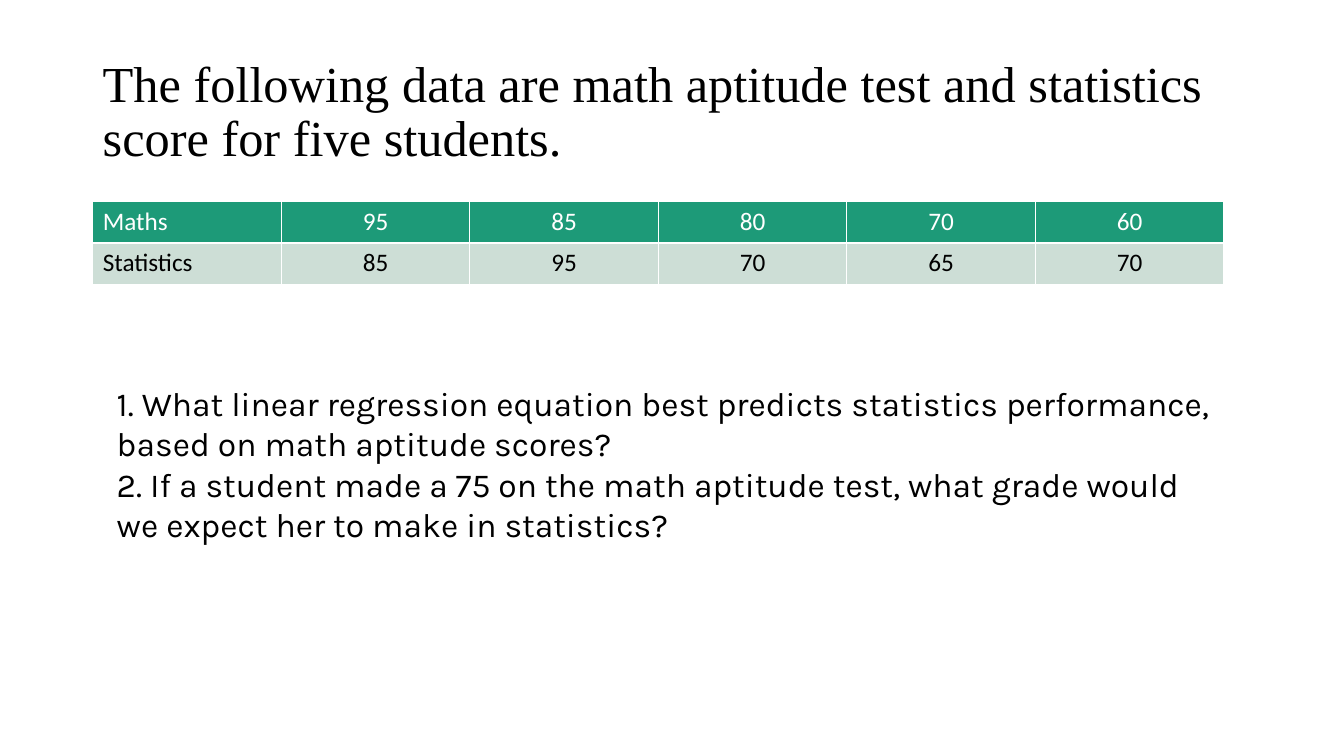
from pptx import Presentation
from pptx.dml.color import RGBColor
from pptx.enum.text import MSO_ANCHOR as Anchor, PP_ALIGN as Align
from pptx.util import Inches, Pt

TITLE = "The following data are math aptitude test and statistics score for five students."
SCORES = [
    ("Maths", [95, 85, 80, 70, 60], "1D9A78", "FFFFFF"),
    ("Statistics", [85, 95, 70, 65, 70], "CDDED6", "000000"),
]
QUESTIONS = [
    "1. What linear regression equation best predicts statistics performance, based on math aptitude scores?",
    "2. If a student made a 75 on the math aptitude test, what grade would we expect her to make in statistics?",
]
TITLE_AREA = (0.92, 0.4, 11.5, 1.45)
QUESTION_AREA = (1.06, 3.75, 11.07, 1.72)
LEFT, TOP, COLUMN, ROW = 0.92, 2, 1.87, 0.41


def color(code):
    return RGBColor.from_string(code)


def write(paragraph, words, font, size, ink="000000"):
    run = paragraph.add_run()
    run.text = words
    run.font.name, run.font.size, run.font.bold = font, Pt(size), False
    run.font.color.rgb = color(ink)


def add_text(slide, area, lines, font, size, spacing=None, anchor=Anchor.TOP):
    frame = slide.shapes.add_textbox(*map(Inches, area)).text_frame
    frame.word_wrap, frame.vertical_anchor = True, anchor
    for index, line in enumerate(lines):
        paragraph = frame.add_paragraph() if index else frame.paragraphs[0]
        paragraph.line_spacing = spacing
        write(paragraph, line, font, size)


def add_scores(slide):
    count = 1 + len(SCORES[0][1])
    area = (LEFT, TOP, COLUMN * count, ROW * len(SCORES))
    table = slide.shapes.add_table(len(SCORES), count, *map(Inches, area)).table
    for row, (subject, marks, fill, ink) in enumerate(SCORES):
        for column, entry in enumerate([subject, *marks]):
            cell = table.cell(row, column)
            cell.fill.solid()
            cell.fill.fore_color.rgb = color(fill)
            paragraph = cell.text_frame.paragraphs[0]
            paragraph.alignment = Align.CENTER if column else Align.LEFT
            write(paragraph, str(entry), "Calibri", 18, ink)


def main():
    """Build the regression exercise slide."""
    deck = Presentation()
    deck.slide_width, deck.slide_height = Inches(13.33), Inches(7.5)
    slide = deck.slides.add_slide(deck.slide_layouts[6])
    add_text(slide, TITLE_AREA, [TITLE], "Times New Roman", 36, 0.9, Anchor.MIDDLE)
    add_scores(slide)
    add_text(slide, QUESTION_AREA, QUESTIONS, "Karla", 24)
    deck.save("out.pptx")


if __name__ == "__main__":
    main()
